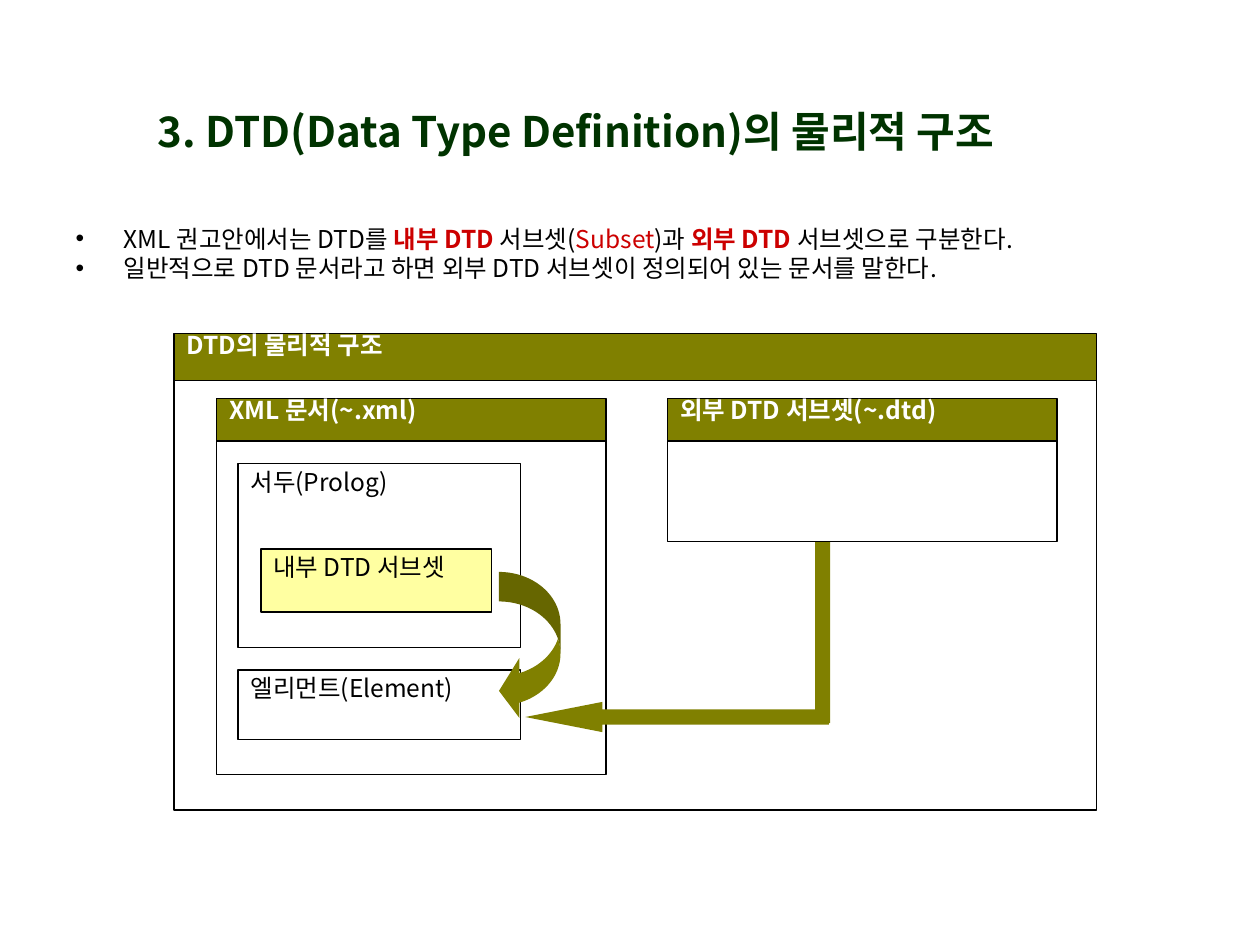
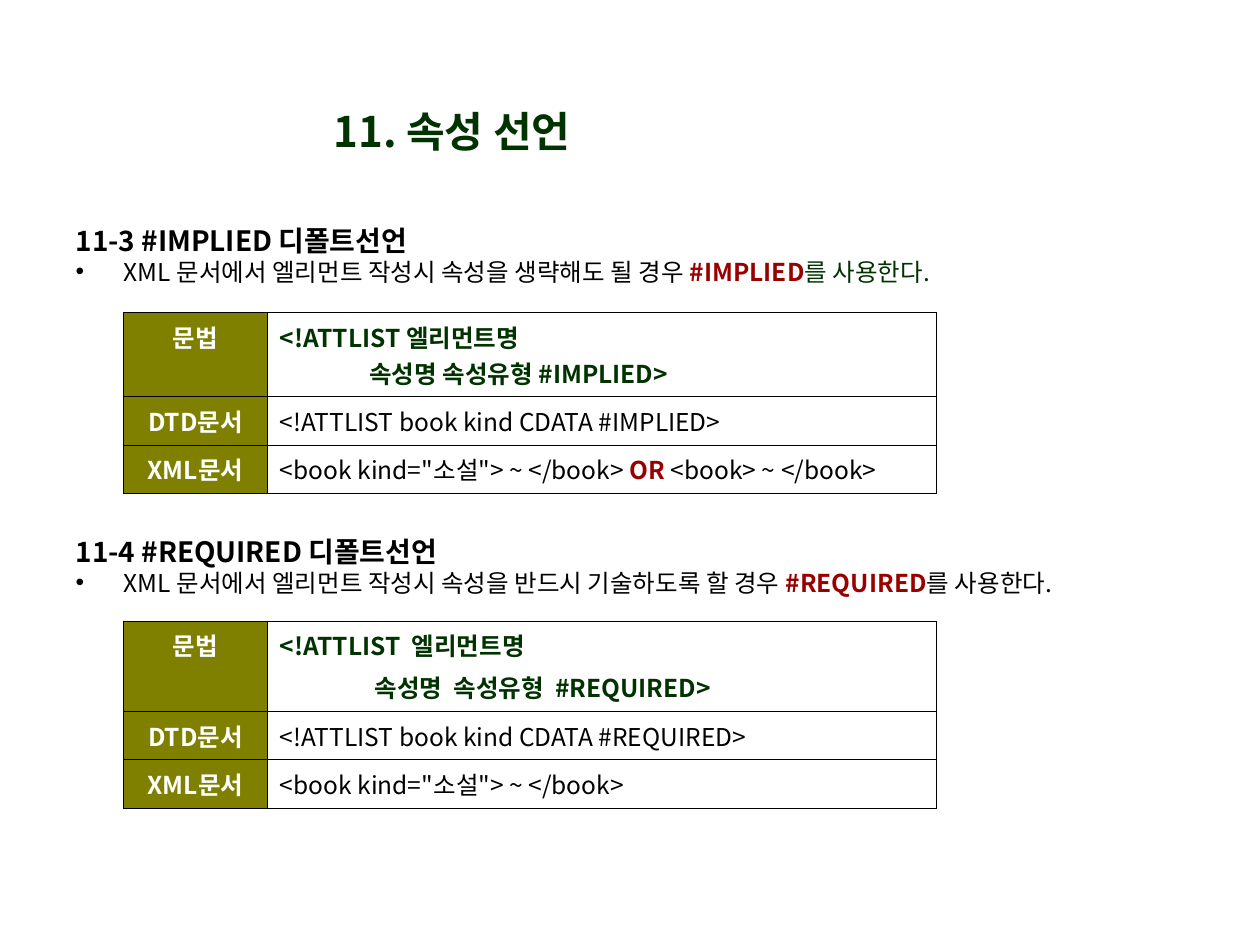
from dataclasses import dataclass
from typing import Optional

from lxml.etree import SubElement
from pptx import Presentation
from pptx.dml.color import RGBColor
from pptx.enum.shapes import MSO_SHAPE
from pptx.enum.text import MSO_ANCHOR, MSO_AUTO_SIZE, PP_ALIGN
from pptx.oxml.ns import qn
from pptx.util import Cm, Pt

BLACK = RGBColor(0x00, 0x00, 0x00)
WHITE = RGBColor(0xFF, 0xFF, 0xFF)
OLIVE = RGBColor(0x80, 0x80, 0x00)
YELLOW = RGBColor(0xFF, 0xFF, 0xA1)
GREEN = RGBColor(0x00, 0x33, 0x00)
RED = RGBColor(0xCC, 0x00, 0x00)
DARK_RED = RGBColor(0x99, 0x00, 0x00)

FONT = "Noto Sans CJK KR"
TITLE_AND_LIST = 1
TITLE_AND_TWO_LISTS = 3


@dataclass(frozen=True)
class Span:
    text: str
    color: RGBColor = BLACK
    bold: bool = False
    size: float = 14


@dataclass(frozen=True)
class Line:
    spans: tuple[Span, ...]
    bullet: bool = True


@dataclass(frozen=True)
class Area:
    left: float
    top: float
    width: float
    height: float

    def lengths(self) -> tuple[Cm, Cm, Cm, Cm]:
        return Cm(self.left), Cm(self.top), Cm(self.width), Cm(self.height)


@dataclass(frozen=True)
class Box:
    area: Area
    fill: Optional[RGBColor] = WHITE
    label: Optional[Span] = None
    top_inset: float = 0.13


@dataclass(frozen=True)
class Arrow:
    shape: MSO_SHAPE
    area: Area
    adjustments: tuple[float, ...]


@dataclass(frozen=True)
class SyntaxTable:
    top: float
    row_heights: tuple[float, ...]
    syntax: tuple[str, str]
    line_gap: float
    declaration: str
    usage: tuple[Span, ...]


def add_spans(para, spans: tuple[Span, ...]) -> None:
    for span in spans:
        run = para.add_run()
        run.text = span.text
        run.font.size = Pt(span.size)
        run.font.bold = span.bold
        run.font.color.rgb = span.color
        run.font.name = FONT
        SubElement(run.font._element, qn("a:ea"), typeface=FONT)


def set_bullet(para, bullet: bool) -> None:
    properties = para._p.get_or_add_pPr()
    properties.set("marL", str(Cm(0.97)))
    properties.set("indent", str(-Cm(0.97)))
    if bullet:
        color = SubElement(properties, qn("a:buClr"))
        SubElement(color, qn("a:srgbClr"), val=str(BLACK))
        SubElement(properties, qn("a:buFont"), typeface="Arial")
        SubElement(properties, qn("a:buChar"), char="•")
    else:
        SubElement(properties, qn("a:buNone"))


def place(placeholder, area: Area, anchor: MSO_ANCHOR):
    placeholder.left, placeholder.top, placeholder.width, placeholder.height = area.lengths()
    frame = placeholder.text_frame
    frame.auto_size = MSO_AUTO_SIZE.NONE
    frame.word_wrap = True
    frame.vertical_anchor = anchor
    return frame


def set_title(page, text: str, left: float, width: float) -> None:
    frame = place(page.shapes.title, Area(left, 1.93, width, 1.4), MSO_ANCHOR.MIDDLE)
    para = frame.paragraphs[0]
    para.alignment = PP_ALIGN.CENTER
    add_spans(para, (Span(text, GREEN, True, 24),))


def set_list(placeholder, top: float, lines: tuple[Line, ...]) -> None:
    frame = place(placeholder, Area(1.27, top, 22.83, 1.68), MSO_ANCHOR.TOP)
    for index, line in enumerate(lines):
        para = frame.add_paragraph() if index else frame.paragraphs[0]
        set_bullet(para, line.bullet)
        para.line_spacing = 0.8
        para.space_before = Pt(3.5 if index else 0)
        add_spans(para, line.spans)


def add_box(page, box: Box) -> None:
    shape = page.shapes.add_shape(MSO_SHAPE.RECTANGLE, *box.area.lengths())
    shape.shadow.inherit = False
    if box.fill is None:
        shape.fill.background()
    else:
        shape.fill.solid()
        shape.fill.fore_color.rgb = box.fill
    shape.line.color.rgb = BLACK
    shape.line.width = Pt(0.75)
    if box.label:
        frame = shape.text_frame
        frame.word_wrap = True
        frame.vertical_anchor = MSO_ANCHOR.TOP
        frame.margin_top = Cm(box.top_inset)
        para = frame.paragraphs[0]
        para.alignment = PP_ALIGN.JUSTIFY
        para.line_spacing = 0.9
        add_spans(para, (box.label,))


def band(area: Area, text: str) -> Box:
    return Box(area, OLIVE, Span(text, WHITE, True), 0)


def add_arrow(page, arrow: Arrow) -> None:
    shape = page.shapes.add_shape(arrow.shape, *arrow.area.lengths())
    shape.shadow.inherit = False
    shape.fill.solid()
    shape.fill.fore_color.rgb = OLIVE
    shape.line.fill.background()
    for index, value in enumerate(arrow.adjustments):
        shape.adjustments[index] = value


def set_borders(cell) -> None:
    properties = cell._tc.get_or_add_tcPr()
    for position, side in enumerate(("lnL", "lnR", "lnT", "lnB")):
        border = properties.makeelement(qn(f"a:{side}"), {"w": str(Pt(0.45))})
        fill = SubElement(border, qn("a:solidFill"))
        SubElement(fill, qn("a:srgbClr"), val=str(BLACK))
        properties.insert(position, border)


def add_syntax_table(page, content: SyntaxTable) -> None:
    area = Area(2.49, content.top, 16.39, sum(content.row_heights))
    table = page.shapes.add_table(3, 2, *area.lengths()).table
    table.first_row = False
    table.horz_banding = False
    for column, width in zip(table.columns, (2.9, 13.49)):
        column.width = Cm(width)
    rows = (
        ("문법", tuple((Span(text, GREEN, True),) for text in content.syntax)),
        ("DTD문서", ((Span(content.declaration),),)),
        ("XML문서", (content.usage,)),
    )
    for index, (heading, lines) in enumerate(rows):
        table.rows[index].height = Cm(content.row_heights[index])
        head, body = table.cell(index, 0), table.cell(index, 1)
        head.fill.solid()
        head.fill.fore_color.rgb = OLIVE
        body.fill.background()
        set_borders(head)
        set_borders(body)
        para = head.text_frame.paragraphs[0]
        para.alignment = PP_ALIGN.CENTER
        add_spans(para, (Span(heading, WHITE, True),))
        for number, spans in enumerate(lines):
            para = body.text_frame.add_paragraph() if number else body.text_frame.paragraphs[0]
            para.space_before = Pt(content.line_gap if number else 0)
            add_spans(para, spans)


def default_rule(heading: str, sentence: str, keyword: str, ending: Span) -> tuple[Line, ...]:
    return (
        Line((Span(heading, bold=True, size=16),), bullet=False),
        Line((Span(sentence), Span(keyword, DARK_RED, True), ending)),
    )


def build_structure_page(deck) -> None:
    page = deck.slides.add_slide(deck.slide_layouts[TITLE_AND_LIST])
    set_title(page, "3. DTD(Data Type Definition)의 물리적 구조", 2.11, 19)
    set_list(page.placeholders[1], 4.5, (
        Line((
            Span("XML 권고안에서는 DTD를 "),
            Span("내부 DTD ", RED, True),
            Span("서브셋("),
            Span("Subset", RED),
            Span(")과 "),
            Span("외부 DTD ", RED, True),
            Span("서브셋으로 구분한다."),
        )),
        Line((Span("일반적으로 DTD 문서라고 하면 외부 DTD 서브셋이 정의되어 있는 문서를 말한다."),)),
    ))
    boxes = (
        Box(Area(4.37, 8.89, 7.85, 6.73)),
        Box(Area(4.8, 9.35, 5.69, 3.71), label=Span("서두(Prolog)")),
        Box(Area(5.26, 11.07, 4.65, 1.27), YELLOW, Span("내부 DTD 서브셋")),
        Box(Area(4.8, 13.51, 5.69, 1.4), label=Span("엘리먼트(Element)")),
        band(Area(4.37, 8.03, 7.85, 0.86), "XML 문서(~.xml)"),
        band(Area(13.46, 8.03, 7.85, 0.86), "외부 DTD 서브셋(~.dtd)"),
        Box(Area(3.51, 7.59, 18.59, 8.74), None),
        band(Area(3.51, 6.73, 18.59, 0.94), "DTD의 물리적 구조"),
    )
    arrows = (
        Arrow(MSO_SHAPE.CURVED_LEFT_ARROW, Area(10.06, 11.53, 1.24, 3), (0.48, 0.97, 0.33)),
        Arrow(MSO_SHAPE.LEFT_ARROW, Area(10.59, 14.15, 6.12, 0.61), (0.5, 2.55)),
        Arrow(MSO_SHAPE.UP_ARROW, Area(16.28, 9.17, 0.61, 5.41), (0.5, 2.25)),
    )
    for box in boxes:
        add_box(page, box)
    for arrow in arrows:
        add_arrow(page, arrow)
    add_box(page, Box(Area(13.46, 8.89, 7.85, 2.03)))


def build_attribute_page(deck) -> None:
    page = deck.slides.add_slide(deck.slide_layouts[TITLE_AND_TWO_LISTS])
    set_title(page, "11. 속성 선언", 3.51, 11.2)
    set_list(page.placeholders[1], 4.5, default_rule(
        "11-3 #IMPLIED 디폴트선언",
        "XML 문서에서 엘리먼트 작성시 속성을 생략해도 될 경우 ",
        "#IMPLIED",
        Span("를 사용한다.", GREEN),
    ))
    set_list(page.placeholders[2], 10.77, default_rule(
        "11-4 #REQUIRED 디폴트선언",
        "XML 문서에서 엘리먼트 작성시 속성을 반드시 기술하도록 할 경우 ",
        "#REQUIRED",
        Span("를 사용한다."),
    ))
    tables = (
        SyntaxTable(
            6.3, (1.45, 0.86, 0.86),
            ("<!ATTLIST 엘리먼트명", "                속성명 속성유형 #IMPLIED>"), 0,
            "<!ATTLIST book kind CDATA #IMPLIED>",
            (
                Span('<book kind="소설"> ~ </book> '),
                Span("OR ", DARK_RED, True),
                Span("<book> ~ </book>"),
            ),
        ),
        SyntaxTable(
            12.52, (1.57, 0.97, 0.89),
            ("<!ATTLIST  엘리먼트명", "                 속성명  속성유형  #REQUIRED>"), 3.5,
            "<!ATTLIST book kind CDATA #REQUIRED>",
            (Span('<book kind="소설"> ~ </book>'),),
        ),
    )
    for content in tables:
        add_syntax_table(page, content)


def main() -> None:
    deck = Presentation()
    deck.slide_width, deck.slide_height = Cm(25.4), Cm(19.05)
    build_structure_page(deck)
    build_attribute_page(deck)
    deck.save("out.pptx")


if __name__ == "__main__":
    main()
